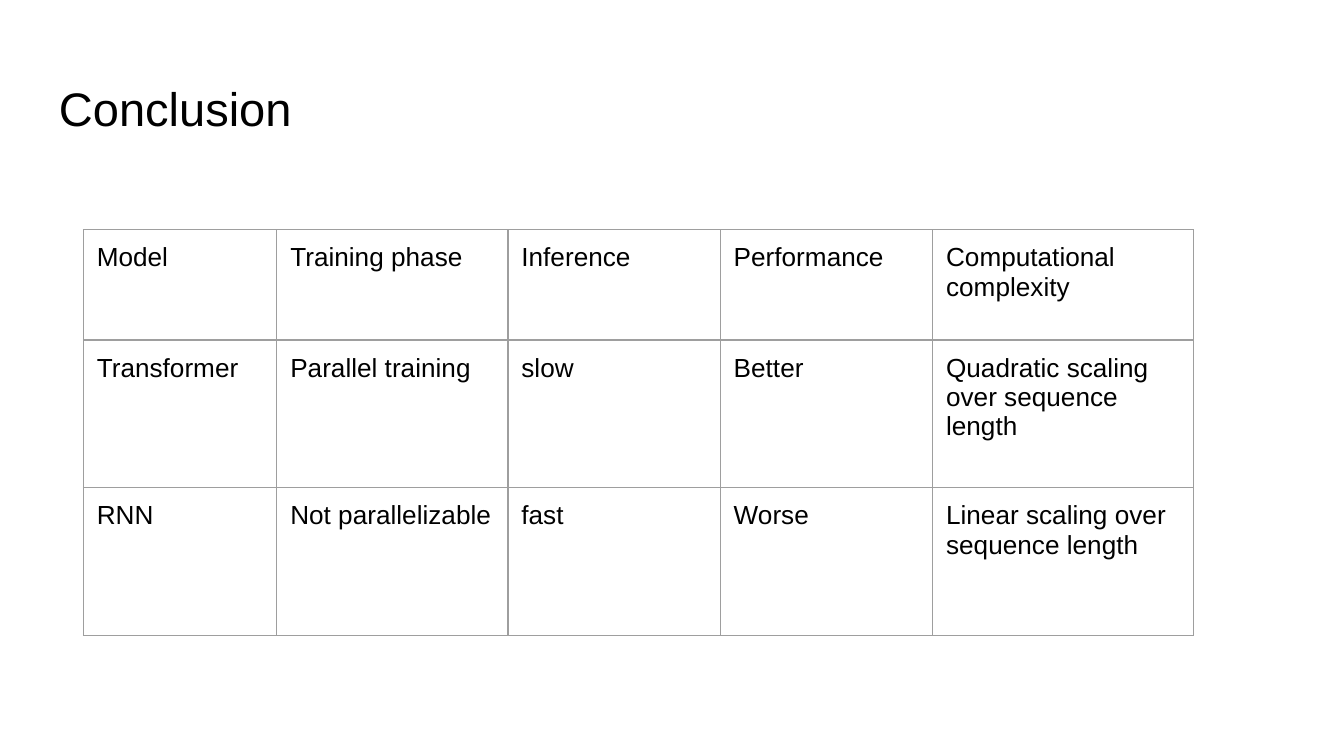
from dataclasses import dataclass

from lxml.etree import SubElement
from pptx import Presentation
from pptx.dml.color import RGBColor
from pptx.enum.text import MSO_ANCHOR
from pptx.oxml.ns import qn
from pptx.util import Inches, Pt


@dataclass(frozen=True)
class Theme:
    font: str = "Arial"
    text: str = "000000"
    border: str = "9E9E9E"
    border_width: float = 0.75
    title_size: float = 25.2
    cell_size: float = 14
    inset: float = 0.1


THEME = Theme()

COLUMN_WIDTHS = [1.44, 1.72, 1.58, 1.58, 1.94]
ROW_HEIGHTS = [0.82, 1.1, 1.1]
COMPARISON = [
    ["Model", "Training phase", "Inference", "Performance", "Computational complexity"],
    ["Transformer", "Parallel training", "slow", "Better",
     "Quadratic scaling over sequence length"],
    ["RNN", "Not parallelizable", "fast", "Worse", "Linear scaling over sequence length"],
]


def set_insets(target):
    """Give a text frame or a table cell equal margins on all sides."""
    target.margin_left = target.margin_right = Inches(THEME.inset)
    target.margin_top = target.margin_bottom = Inches(THEME.inset)


def add_span(para, text, size):
    span = para.add_run()
    span.text = text
    span.font.name = THEME.font
    span.font.size = Pt(size)
    span.font.color.rgb = RGBColor.from_string(THEME.text)


def add_title(page, text):
    box = page.shapes.add_textbox(Inches(0.34), Inches(0.49), Inches(9.32), Inches(0.63))
    frame = box.text_frame
    frame.word_wrap = True
    frame.vertical_anchor = MSO_ANCHOR.MIDDLE
    set_insets(frame)
    add_span(frame.paragraphs[0], text, THEME.title_size)


def add_borders(cell):
    properties = cell._tc.get_or_add_tcPr()
    for index, side in enumerate(("a:lnL", "a:lnR", "a:lnT", "a:lnB")):
        line = properties.makeelement(qn(side), {"w": str(Pt(THEME.border_width))})
        fill = SubElement(line, qn("a:solidFill"))
        SubElement(fill, qn("a:srgbClr"), {"val": THEME.border})
        properties.insert(index, line)


def fill_cell(cell, text):
    cell.fill.background()
    set_insets(cell)
    add_borders(cell)
    add_span(cell.text_frame.paragraphs[0], text, THEME.cell_size)


def add_comparison_table(page, rows):
    frame = page.shapes.add_table(
        len(ROW_HEIGHTS), len(COLUMN_WIDTHS), Inches(0.62), Inches(1.71),
        Inches(sum(COLUMN_WIDTHS)), Inches(sum(ROW_HEIGHTS)))
    table = frame.table
    table.first_row = table.horz_banding = False
    for column, width in zip(table.columns, COLUMN_WIDTHS):
        column.width = Inches(width)
    for row, height, texts in zip(table.rows, ROW_HEIGHTS, rows):
        row.height = Inches(height)
        for cell, text in zip(row.cells, texts):
            fill_cell(cell, text)


def main():
    deck = Presentation()
    deck.slide_width = Inches(10)
    deck.slide_height = deck.slide_width * 9 // 16
    page = deck.slides.add_slide(deck.slide_layouts[6])
    add_title(page, "Conclusion")
    add_comparison_table(page, COMPARISON)
    deck.save("out.pptx")


if __name__ == "__main__":
    main()
